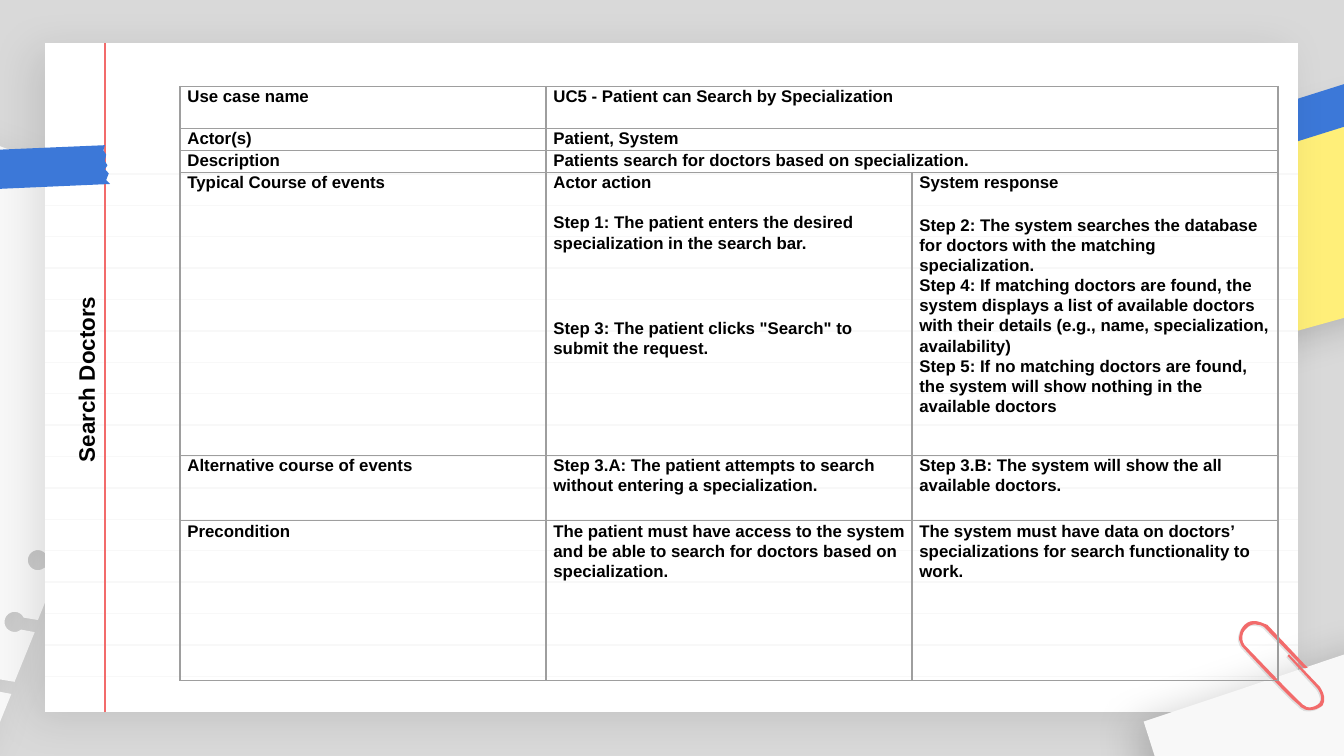
from math import cos, radians, sin

from lxml import etree
from pptx import Presentation
from pptx.dml.color import RGBColor
from pptx.enum.shapes import MSO_CONNECTOR
from pptx.enum.text import MSO_ANCHOR, PP_ALIGN
from pptx.oxml import parse_xml
from pptx.oxml.ns import nsdecls, qn
from pptx.util import Pt

STRAIGHT = MSO_CONNECTOR.STRAIGHT
MIDDLE, TOP = MSO_ANCHOR.MIDDLE, MSO_ANCHOR.TOP
CENTER = PP_ALIGN.CENTER
color = RGBColor.from_string

PAPER, BLUE, RED, BORDER = "F8F8F8", "3C78D8", "F26B6B", "9E9E9E"

presentation = Presentation()
presentation.slide_width, presentation.slide_height = Pt(720), Pt(405)
slide = presentation.slides.add_slide(presentation.slide_layouts[6])
slide.background.fill.solid()
slide.background.fill.fore_color.rgb = color("D9D9D9")


def add_outline(points, fill, shadow=0, alpha=100):
    """Draw a closed outline; shadow and alpha are percentages of opacity."""
    corners = [(Pt(x), Pt(y)) for x, y in points]
    builder = slide.shapes.build_freeform(*corners[0], scale=1.0)
    builder.add_line_segments(corners[1:], close=True)
    shape = builder.convert_to_shape()
    shape.fill.solid()
    shape.fill.fore_color.rgb = color(fill)
    shape.line.fill.background()
    shape.shadow.inherit = False
    properties = shape._element.spPr
    if alpha < 100:
        fill_color = properties.find(qn("a:solidFill"))[0]
        etree.SubElement(fill_color, qn("a:alpha"), val=str(alpha * 1000))
    if shadow:
        properties.find(qn("a:effectLst")).append(parse_xml(
            f'<a:outerShdw {nsdecls("a")} blurRad="{Pt(22.5)}" dist="{Pt(7.5)}" '
            f'dir="{150 * 60000}" algn="bl" rotWithShape="0"><a:srgbClr val="000000">'
            f'<a:alpha val="{shadow * 1000}"/></a:srgbClr></a:outerShdw>'))


def add_line(x1, y1, x2, y2, line_color):
    line = slide.shapes.add_connector(STRAIGHT, Pt(x1), Pt(y1), Pt(x2), Pt(y2))
    line.line.color.rgb = color(line_color)
    line.line.width = Pt(0.75)
    etree.SubElement(line._element.spPr, qn("a:effectLst"))


# Yellow note and blue tape behind the card
add_outline([(653.8, 77.8), (682.6, 180.7), (812.2, 144.7), (783.4, 41.8)], "FFEF79", 20)
add_outline([(681.8, 79.9), (676.1, 59), (746.6, 36.7), (753.1, 57.6)], BLUE)

# Torn notebook page with punched holes along its right edge
page = [(-144, 23.8), (103, 117.4), (96.5, 133.2)]
for hole in range(10):
    x, y = 82.8 - 12.5 * hole, 134.6 + 33.1 * hole
    page.append((x + 12.5, y - 1))
    page += [(x + 5.4 * cos(radians(angle)), y + 5.4 * sin(radians(angle)))
             for angle in range(-25, -320, -15)]
    page.append((x + 10.8, y + 5.5))
page += [(-26.6, 457.9), (-272.2, 364.3), (-284.4, 338.4), (-169.2, 35.3)]
add_outline(page, PAPER, 10)

# Ruled card
LEFT, RIGHT, CARD_TOP, CARD_BOTTOM = 24.2, 695.4, 23.3, 381.6
add_outline([(LEFT, CARD_TOP), (RIGHT, CARD_TOP), (RIGHT, CARD_BOTTOM), (LEFT, CARD_BOTTOM)],
            "FFFFFF", 10)
for rule in range(17):
    y = 93.2 + 16.82 * rule
    add_line(LEFT, y, RIGHT, y, PAPER)
add_line(56.2, CARD_BOTTOM, 56.2, CARD_TOP, RED)

# Corner paper
add_outline([(739.4, 344.2), (773.3, 445.7), (645.1, 488.2), (612.7, 386.6)], PAPER, 20)

# Paper clip: pairs are straight segments, sextets are Bézier curves
clip_segments = [
    (673.2, 332.6, 669.6, 331.9, 666.7, 334.8),
    (664.6, 337, 663.8, 339.8, 663.8, 342.7),
    (664.6, 344.2, 664.6, 345.6, 666, 347),
    (666.7, 347.8, 692.6, 375.8, 696.2, 378),
    (697, 379.4, 698.4, 379.4, 699.1, 380.2),
    (702.7, 380.9, 705.6, 380.2, 708.5, 378),
    (711.4, 373.7, 707, 367.9, 707, 367.9),
    (690.5, 350.6), (689.8, 351.4), (705.6, 368.6),
    (706.3, 369.4, 709.2, 373.7, 707, 376.6),
    (704.9, 378.7, 702, 379.4, 699.8, 378.7),
    (699.1, 378, 698.4, 378, 697.7, 377.3),
    (694.1, 374.4, 668.2, 347, 666.7, 345.6),
    (664.6, 342.7, 665.3, 338.4, 668.2, 336.2),
    (669.6, 334.8, 671.8, 334.1, 673.9, 334.8),
    (675.4, 334.8, 676.8, 335.5, 677.5, 336.2),
    (698.4, 357.8), (700.6, 357.8), (679, 334.8),
]
clip = [(675.4, 333.4)]
for segment in clip_segments:
    if len(segment) == 2:
        clip.append(segment)
        continue
    x0, y0 = clip[-1]
    x1, y1, x2, y2, x3, y3 = segment
    for step in range(1, 7):
        t = step / 6
        a, b, c, d = (1 - t) ** 3, 3 * t * (1 - t) ** 2, 3 * t ** 2 * (1 - t), t ** 3
        clip.append((a * x0 + b * x1 + c * x2 + d * x3, a * y0 + b * y1 + c * y2 + d * y3))
add_outline([(x - 0.7, y + 0.7) for x, y in clip], "000000", alpha=10)
add_outline(clip, RED)

# Left tape with a torn right end
add_outline([(-7.2, 101.5), (-9.4, 80.6), (56.2, 77.8), (55.4, 80.6), (56.9, 82.8), (56.2, 86.4),
             (57.6, 88.6), (56.2, 90.7), (58.3, 92.9), (56.9, 96.5), (59, 98.6)], BLUE)

# Vertical title
title = slide.shapes.add_textbox(Pt(-112.3), Pt(192.4), Pt(316.8), Pt(21.6))
title.rotation = 270
title.text_frame.word_wrap = True
title.text_frame.vertical_anchor = MIDDLE
paragraph = title.text_frame.paragraphs[0]
paragraph.text = "Search Doctors"
paragraph.alignment = CENTER
title_format = {"name": "Arial", "size": Pt(12), "bold": True}
for name, value in title_format.items():
    setattr(paragraph.font, name, value)
paragraph.font.color.rgb = color("000000")

# Use case table: each paragraph is (text, space before)
rows = [
    (22.5, [[("Use case name", 0)], [("UC5 - Patient can Search by Specialization", 0)]]),
    (11.8, [[("Actor(s)", 0)], [("Patient, System", 0)]]),
    (11.8, [[("Description", 0)],
            [("Patients search for doctors based on specialization.", 0)]]),
    (151.6, [
        [("Typical Course of events", 0)],
        [("Actor action", 0),
         ("Step 1: The patient enters the desired specialization in the search bar.", 10.7),
         ("Step 3: The patient clicks \"Search\" to submit the request.", 34.8)],
        [("System response", 0),
         ("Step 2: The system searches the database for doctors with the matching "
          "specialization.", 12),
         ("Step 4: If matching doctors are found, the system displays a list of available "
          "doctors with their details (e.g., name, specialization, availability)", 0),
         ("Step 5: If no matching doctors are found, the system will show nothing in the "
          "available doctors", 0)]]),
    (35.1, [[("Alternative course of events", 0)],
            [("Step 3.A: The patient attempts to search without entering a specialization.", 0)],
            [("Step 3.B: The system will show the all available doctors.", 0)]]),
    (85.7, [[("Precondition", 0)],
            [("The patient must have access to the system and be able to search for doctors "
              "based on specialization.", 0)],
            [("The system must have data on doctors’ specializations for search functionality "
              "to work.", 0)]]),
]
COLUMN_WIDTH = 196.1
table = slide.shapes.add_table(len(rows), 3, Pt(96.4), Pt(46.3), Pt(3 * COLUMN_WIDTH),
                               Pt(sum(height for height, _ in rows))).table
table.first_row = table.horz_banding = False
for column in table.columns:
    column.width = Pt(COLUMN_WIDTH)

cell_format = {"margin_left": Pt(4), "margin_right": Pt(4), "margin_top": 0,
               "margin_bottom": 0, "vertical_anchor": TOP}
font_format = {"name": "Arial", "size": Pt(9), "bold": True}
for row_index, (height, texts) in enumerate(rows):
    table.rows[row_index].height = Pt(height)
    if len(texts) == 2:
        table.cell(row_index, 1).merge(table.cell(row_index, 2))
    for column_index in range(3):
        cell = table.cell(row_index, column_index)
        for name, value in cell_format.items():
            setattr(cell, name, value)
        for side in ("lnL", "lnR", "lnT", "lnB"):
            cell._tc.get_or_add_tcPr().append(parse_xml(
                f'<a:{side} {nsdecls("a")} w="{Pt(0.75)}"><a:solidFill>'
                f'<a:srgbClr val="{BORDER}"/></a:solidFill></a:{side}>'))
        cell.fill.background()
        entries = texts[column_index] if column_index < len(texts) else [("", 0)]
        for index, (text, space_before) in enumerate(entries):
            frame = cell.text_frame
            paragraph = frame.add_paragraph() if index else frame.paragraphs[0]
            paragraph.text = text
            paragraph.line_spacing = 1.07
            paragraph.space_before = Pt(space_before)
            for name, value in font_format.items():
                setattr(paragraph.font, name, value)
            paragraph.font.color.rgb = color("000000")

presentation.save("out.pptx")
